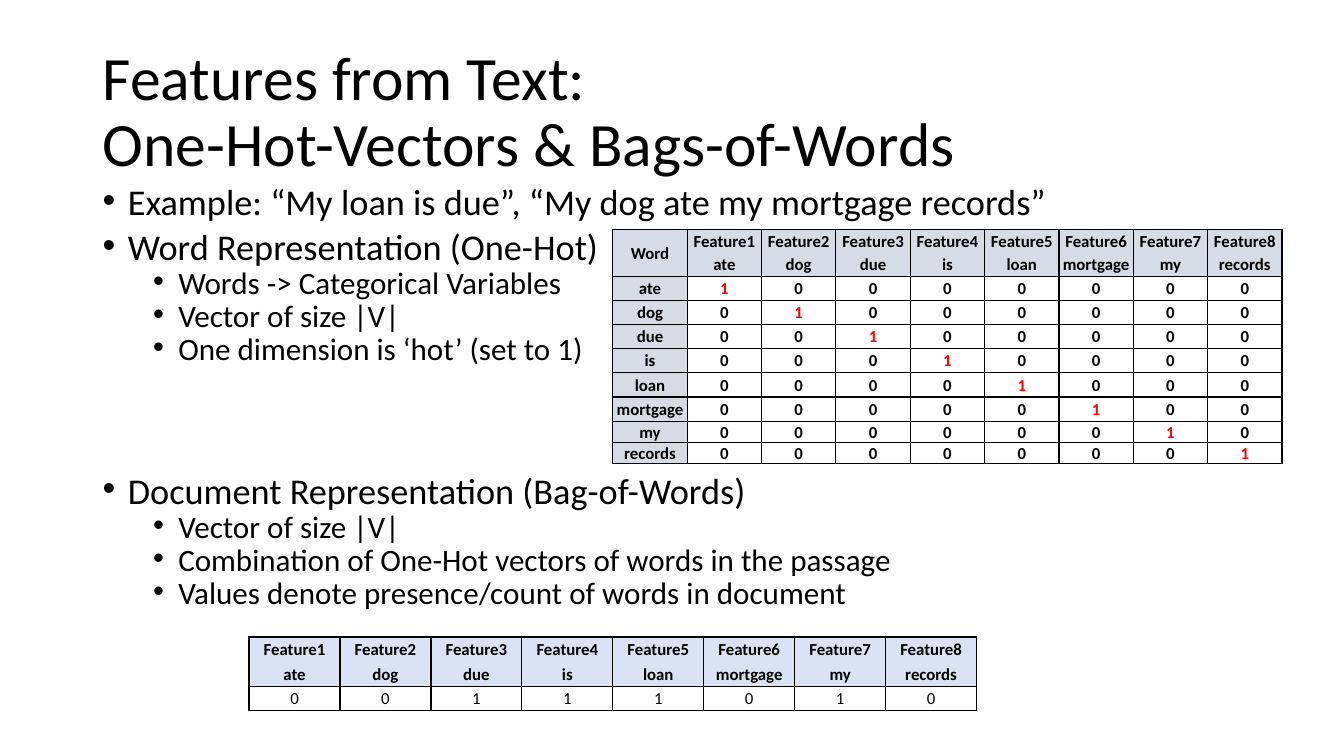
from pptx import Presentation
from pptx import util as u
from pptx.dml.color import RGBColor
from pptx.enum import text
from pptx.oxml import parse_xml
from pptx.oxml.ns import nsdecls

COLORS = {"ink": "000000", "hot": "FF0000", "one_hot_head": "D6DCE5", "bag_head": "DAE3F3"}
VOCABULARY = ["ate", "dog", "due", "is", "loan", "mortgage", "my", "records"]
DOCUMENT = ["my", "loan", "is", "due"]
LEFT, WIDTH = 6.9, 86.25


class FeatureSlide:
    """Places elements by percentages of the slide's width and height."""

    font = "Calibri"
    title_size, cell_size = 44, 12
    # level: (size, left indent in inches, space before in points)
    levels = {0: (25.9, 0.25, 10), 1: (22.2, 0.75, 5)}

    def __init__(self, deck):
        self.deck = deck
        self.slide = deck.slides.add_slide(deck.slide_layouts[5])

    def x(self, percent):
        return int(self.deck.slide_width * percent / 100)

    def y(self, percent):
        return int(self.deck.slide_height * percent / 100)

    def format_runs(self, paragraph, size, color="ink", bold=False):
        for run in paragraph.runs:
            run.font.name = self.font
            run.font.size = u.Pt(size)
            run.font.bold = bold
            run.font.color.rgb = RGBColor.from_string(COLORS[color])

    def title(self, words, left, top, width, height):
        heading = self.slide.shapes.title
        heading.left, heading.top = self.x(left), self.y(top)
        heading.width, heading.height = self.x(width), self.y(height)
        frame = heading.text_frame
        frame.text = words
        frame.auto_size = text.MSO_AUTO_SIZE.NONE
        frame.vertical_anchor = text.MSO_ANCHOR.MIDDLE
        paragraph = frame.paragraphs[0]
        paragraph.alignment = text.PP_ALIGN.LEFT
        paragraph.line_spacing = 0.9
        self.format_runs(paragraph, self.title_size)

    def bullets(self, items, left, top, width, height):
        """Adds (level, words) items as a bulleted list."""
        box = self.slide.shapes.add_textbox(self.x(left), self.y(top), self.x(width), self.y(height))
        frame = box.text_frame
        frame.word_wrap = True
        frame.text = "\n".join(words for _, words in items)
        for paragraph, (level, _) in zip(frame.paragraphs, items):
            size, indent, before = self.levels[level]
            paragraph.level = level
            paragraph.line_spacing = 0.7
            paragraph.space_before = u.Pt(before)
            properties = paragraph._p.get_or_add_pPr()
            properties.set("marL", str(u.Inches(indent)))
            properties.set("indent", str(u.Inches(-0.25)))
            properties.append(parse_xml(f'<a:buFont {nsdecls("a")} typeface="Arial"/>'))
            properties.append(parse_xml(f'<a:buChar {nsdecls("a")} char="•"/>'))
            self.format_runs(paragraph, size)

    def borders(self, cell, hidden):
        """Draws the four edges of a cell, leaving out the hidden one."""
        line = f'<a:solidFill><a:srgbClr val="{COLORS["ink"]}"/></a:solidFill>'
        for edge in "LRTB":
            paint = "<a:noFill/>" if edge == hidden else line
            cell._tc.get_or_add_tcPr().append(
                parse_xml(f'<a:ln{edge} {nsdecls("a")} w="{u.Pt(1)}">{paint}</a:ln{edge}>'))

    def cell(self, cell, words, fill=None, color="ink", bold=True, hidden=None):
        cell.margin_left = cell.margin_right = cell.margin_top = u.Inches(0.01)
        cell.margin_bottom = 0
        cell.vertical_anchor = text.MSO_ANCHOR.MIDDLE
        self.borders(cell, hidden)
        if fill:
            cell.fill.solid()
            cell.fill.fore_color.rgb = RGBColor.from_string(COLORS[fill])
        else:
            cell.fill.background()
        cell.text_frame.text = words
        paragraph = cell.text_frame.paragraphs[0]
        paragraph.alignment = text.PP_ALIGN.CENTER
        self.format_runs(paragraph, self.cell_size, color, bold)

    def feature_table(self, rows, left, top, width, row_heights, head_fill, row_names=None):
        """Adds a table with a two-line feature header and optional row names."""
        offset = 1 if row_names else 0
        columns = len(VOCABULARY) + offset
        table = self.slide.shapes.add_table(
            len(row_heights), columns, self.x(left), self.y(top),
            self.x(width), self.y(sum(row_heights))).table
        table.first_row = table.horz_banding = False
        for column in table.columns:
            column.width = self.x(width / columns)
        for row, height in zip(table.rows, row_heights):
            row.height = self.y(height)
        for index, word in enumerate(VOCABULARY):
            column = index + offset
            self.cell(table.cell(0, column), f"Feature{index + 1}", head_fill, hidden="B")
            self.cell(table.cell(1, column), word, head_fill, hidden="T")
            for row, values in enumerate(rows, 2):
                value = values[index]
                color = "hot" if row_names and value else "ink"
                self.cell(table.cell(row, column), str(value), color=color, bold=bool(row_names))
        if row_names:
            table.cell(0, 0).merge(table.cell(1, 0))
            for row, name in enumerate(["Word", ""] + row_names):
                if name:
                    self.cell(table.cell(row, 0), name, head_fill)
            self.borders(table.cell(1, 0), None)


def main():
    deck = Presentation()
    deck.slide_width, deck.slide_height = u.Inches(13.33), u.Inches(7.5)
    page = FeatureSlide(deck)
    page.title("Features from Text:\vOne-Hot-Vectors & Bags-of-Words", LEFT, 5.33, WIDTH, 19.33)
    page.bullets([
        (0, "Example: “My loan is due”, “My dog ate my mortgage records”"),
        (0, "Word Representation (One-Hot)"),
        (1, "Words -> Categorical Variables"),
        (1, "Vector of size |V|"),
        (1, "One dimension is ‘hot’ (set to 1)"),
    ], LEFT, 24.67, WIDTH, 26)
    page.bullets([
        (0, "Document Representation (Bag-of-Words)"),
        (1, "Vector of size |V|"),
        (1, "Combination of One-Hot vectors of words in the passage"),
        (1, "Values denote presence/count of words in document"),
    ], LEFT, 62.8, WIDTH, 20)

    one_hot = [[int(word == feature) for feature in VOCABULARY] for word in VOCABULARY]
    page.feature_table(one_hot, 45.6, 30.4, 49.8, [2.93] + [3.2] * 7 + [2.8] * 2,
                       "one_hot_head", VOCABULARY)
    bag = [DOCUMENT.count(feature) for feature in VOCABULARY]
    page.feature_table([bag], 18.53, 84.27, 54.15, [3.2, 3.33, 3.2], "bag_head")
    deck.save("out.pptx")


if __name__ == "__main__":
    main()
